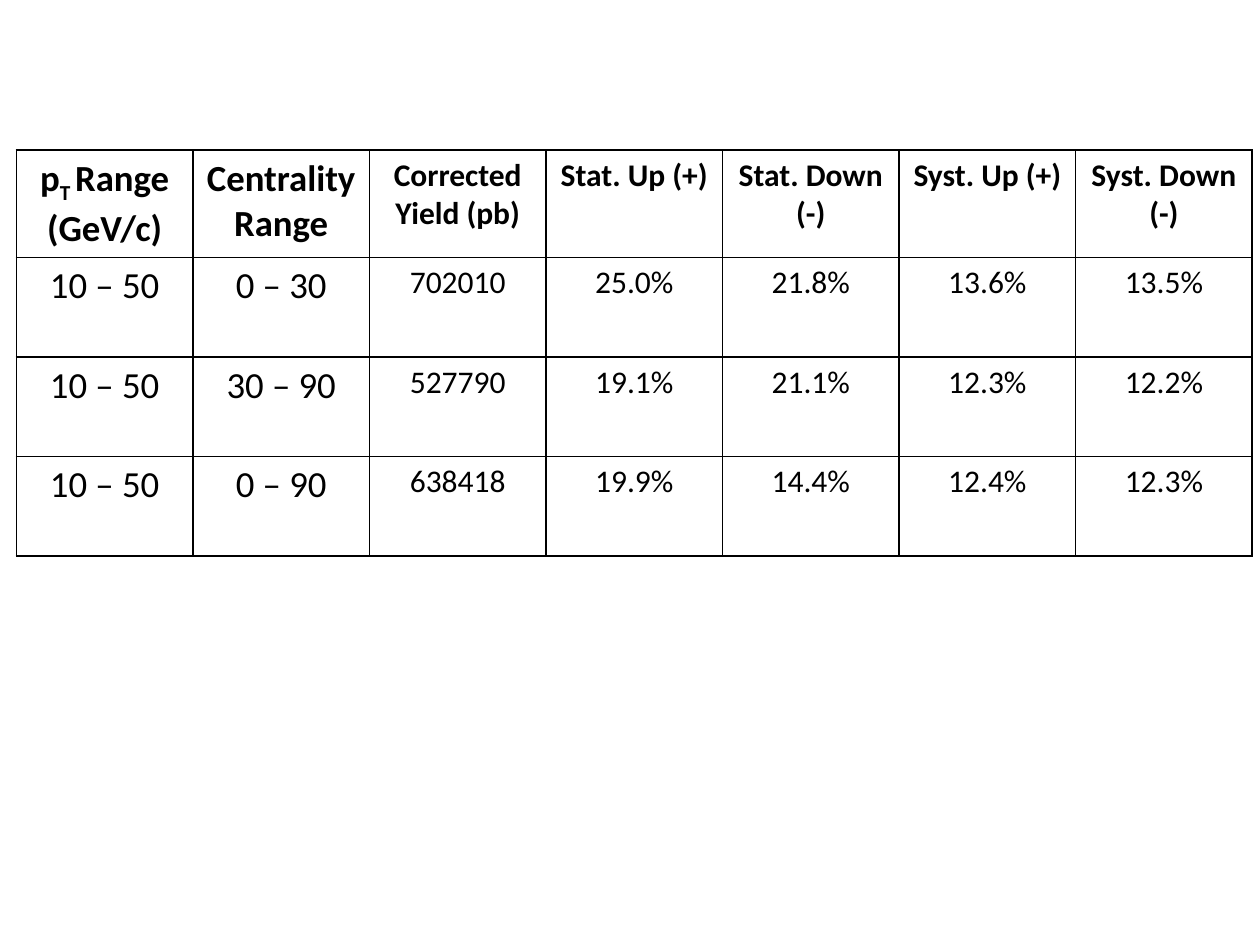
from dataclasses import dataclass
from lxml.etree import SubElement
from pptx import Presentation
from pptx.dml.color import RGBColor
from pptx.enum.text import PP_ALIGN
from pptx.oxml.ns import qn
from pptx.util import Inches, Pt


@dataclass(frozen=True)
class Theme:
    """Colours, font and type sizes of the slide."""
    font: str = "Calibri"
    ink: str = "000000"
    range_size: int = 21
    value_size: int = 18
    border: int = 1


THEME = Theme()
RANGE_COLS = 2
HEADER = [("p", "T ", "Range (GeV/c)"), "Centrality Range", "Corrected Yield (pb)",
          "Stat. Up (+)", "Stat. Down (-)", "Syst. Up (+)", "Syst. Down (-)"]
ROWS = [
    ["10 – 50", "0 – 30", "702010", "25.0%", "21.8%", "13.6%", "13.5%"],
    ["10 – 50", "30 – 90", "527790", "19.1%", "21.1%", "12.3%", "12.2%"],
    ["10 – 50", "0 – 90", "638418", "19.9%", "14.4%", "12.4%", "12.3%"],
]


def add_borders(cell):
    """Draw a solid line on all four sides of a cell."""
    tcPr = cell._tc.get_or_add_tcPr()
    for i, side in enumerate(("a:lnL", "a:lnR", "a:lnT", "a:lnB")):
        ln = tcPr.makeelement(qn(side), {"w": str(Pt(THEME.border))})
        fill = SubElement(ln, qn("a:solidFill"))
        SubElement(fill, qn("a:srgbClr"), val=THEME.ink)
        tcPr.insert(i, ln)


def write_cell(cell, content, size, bold):
    """Write centred text; a tuple holds base, subscript and remaining text."""
    cell.fill.background()
    add_borders(cell)
    p = cell.text_frame.paragraphs[0]
    p.alignment = PP_ALIGN.CENTER
    parts = content if isinstance(content, tuple) else (content,)
    fmt = {"name": THEME.font, "size": Pt(size), "bold": bold}
    for i, text in enumerate(parts):
        r = p.add_run()
        r.text = text
        for name, value in fmt.items():
            setattr(r.font, name, value)
        r.font.color.rgb = RGBColor.from_string(THEME.ink)
        if i == 1:
            r.font._element.set("baseline", "-25000")


def add_yield_table(s, left, top, width, height):
    """Place the table of corrected yields and uncertainties in a box."""
    data = [HEADER, *ROWS]
    frame = s.shapes.add_table(len(data), len(HEADER), Inches(left), Inches(top),
                               Inches(width), Inches(height))
    tbl = frame.table
    tbl.horz_banding = False
    for i, row in enumerate(data):
        for j, content in enumerate(row):
            size = THEME.range_size if j < RANGE_COLS else THEME.value_size
            write_cell(tbl.cell(i, j), content, size, bold=i == 0)


def main():
    """Build and save the slide."""
    prs = Presentation()
    prs.slide_width, prs.slide_height = Inches(10), Inches(7.5)
    s = prs.slides.add_slide(prs.slide_layouts[6])
    add_yield_table(s, 0.13, 1.19, 9.81, 3.16)
    prs.save("out.pptx")


main()
